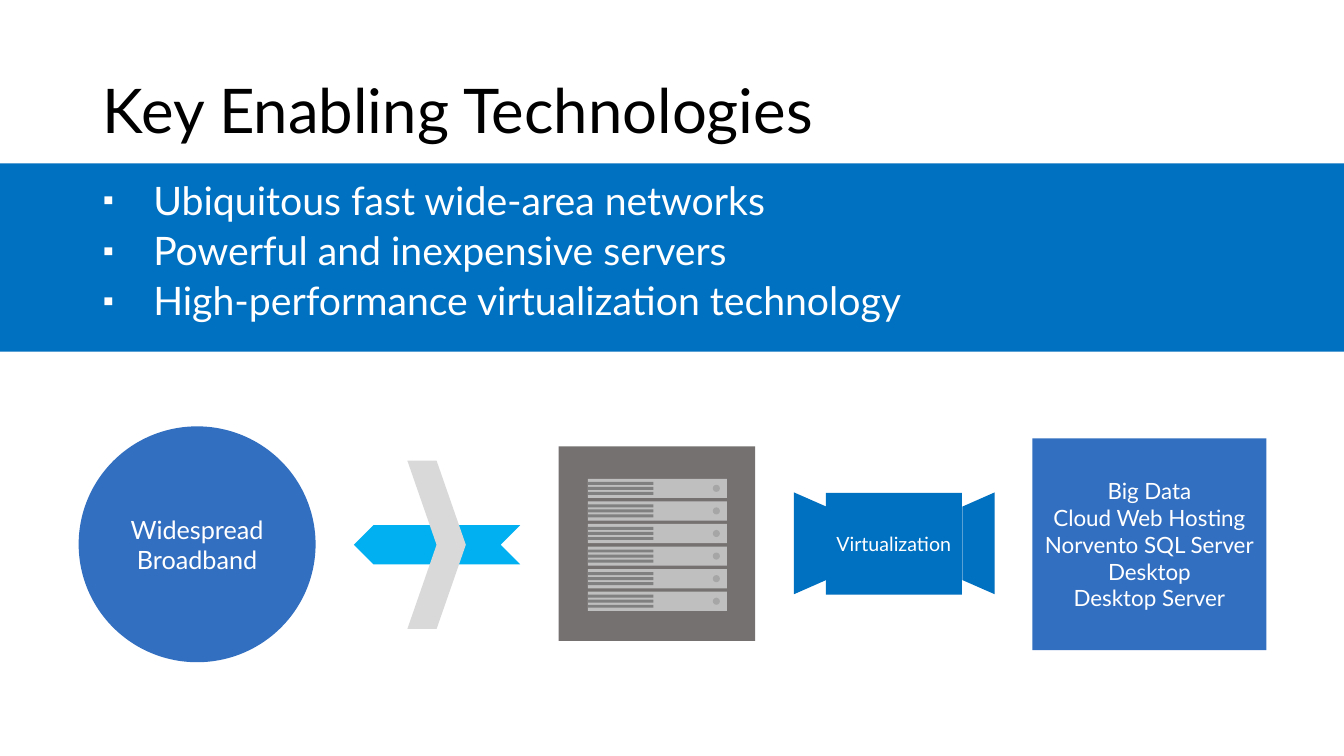
import pptx
import pptx.util
import pptx.dml.color
import pptx.enum.shapes
import pptx.enum.text
import lxml.etree

Inches = pptx.util.Inches
Pt = pptx.util.Pt
SHAPE = pptx.enum.shapes.MSO_SHAPE
ALIGN = pptx.enum.text.PP_ALIGN
MIDDLE = pptx.enum.text.MSO_ANCHOR.MIDDLE

FONT = "Lato"
HEADING = "Key Enabling Technologies"
ENABLERS = [
    "Ubiquitous fast wide-area networks",
    "Powerful and inexpensive servers",
    "High-performance virtualization technology",
]
WORKLOADS = [
    "Big Data",
    "Cloud Web Hosting",
    "Norvento SQL Server",
    "Desktop",
    "Desktop Server",
]
WHITE = "FFFFFF"
BLUE = "0070C0"
SOFT_BLUE = "336FC0"

SERVERS = 6
SERVER_PITCH = 0.224
STRIPES = 3
STRIPE_PITCH = 0.05
RACK_LEFT, RACK_TOP = 5.83, 4.75


def color(hex_code):
    return pptx.dml.color.RGBColor.from_string(hex_code)


def write(frame, lines, size, hex_code, align):
    frame.word_wrap = True
    frame.auto_size = pptx.enum.text.MSO_AUTO_SIZE.NONE
    frame.vertical_anchor = MIDDLE
    frame.text = "\n".join(lines)
    for paragraph in frame.paragraphs:
        paragraph.alignment = align
        paragraph.font.name = FONT
        paragraph.font.size = Pt(size)
        paragraph.font.color.rgb = color(hex_code)


def place(item, left, top, width, height):
    item.left, item.top = Inches(left), Inches(top)
    item.width, item.height = Inches(width), Inches(height)


def draw(kind, box, fill, lines=(), size=18, rotation=0):
    part = slide.shapes.add_shape(kind, *map(Inches, box))
    part.shadow.inherit = False
    part.fill.solid()
    part.fill.fore_color.rgb = color(fill)
    part.line.fill.background()
    part.rotation = rotation
    if lines:
        write(part.text_frame, lines, size, WHITE, ALIGN.CENTER)
    return part


def add_bullet(paragraph):
    properties = paragraph._p.get_or_add_pPr()
    properties.set("marL", str(Inches(0.5)))
    properties.set("indent", str(-Inches(0.5)))
    for tag, key, value in (("buSzPct", "val", "80000"), ("buChar", "char", "▪")):
        name = pptx.oxml.ns.qn("a:" + tag)
        lxml.etree.SubElement(properties, name).set(key, value)


presentation = pptx.Presentation()
presentation.slide_width = Inches(13.33)
presentation.slide_height = Inches(7.5)
slide = presentation.slides.add_slide(presentation.slide_layouts[1])

heading = slide.shapes.title
place(heading, 0.92, 0.4, 11.5, 1.45)
write(heading.text_frame, [HEADING], 44, "000000", ALIGN.LEFT)
heading.text_frame.paragraphs[0].line_spacing = 0.9

enablers = slide.placeholders[1]
place(enablers, 0.92, 1.57, 11.63, 1.87)
write(enablers.text_frame, ENABLERS, 28, WHITE, ALIGN.LEFT)
for enabler in enablers.text_frame.paragraphs:
    enabler.line_spacing = 0.9
    enabler.space_before = Pt(5.6)
    add_bullet(enabler)

band = draw(SHAPE.RECTANGLE, (0, 1.62, 13.33, 1.87), BLUE)
enablers.element.addprevious(band.element)

draw(SHAPE.CHEVRON, (3.51, 5.21, 1.65, 0.39), "00B0F0", rotation=180)
draw(SHAPE.CHEVRON, (4.04, 4.57, 0.58, 1.67), "D9D9D9")
draw(SHAPE.OVAL, (0.78, 4.23, 2.35, 2.34), SOFT_BLUE, ["Widespread Broadband"])

draw(SHAPE.RECTANGLE, (5.54, 4.43, 1.95, 1.93), "767171")
for server in range(SERVERS):
    top = RACK_TOP + server * SERVER_PITCH
    draw(SHAPE.RECTANGLE, (RACK_LEFT, top, 1.38, 0.19), "BFBFBF")
    draw(SHAPE.OVAL, (RACK_LEFT + 1.24, top + 0.06, 0.07, 0.07), "A6A6A6")
    for stripe in range(STRIPES):
        stripe_top = top + 0.03 + stripe * STRIPE_PITCH
        draw(SHAPE.RECTANGLE, (RACK_LEFT, stripe_top, 0.65, 0.03), "808080")

draw(SHAPE.RECTANGLE, (8.19, 4.89, 1.35, 1.01), BLUE, ["Virtualization"], 14)
for left, rotation in ((7.53, 90), (9.2, 270)):
    flare = draw(SHAPE.TRAPEZOID, (left, 5.23, 1.01, 0.32), BLUE, rotation=rotation)
    flare.adjustments[0] = 0.44

draw(SHAPE.RECTANGLE, (10.24, 4.35, 2.32, 2.1), SOFT_BLUE, WORKLOADS, 16)

presentation.save("out.pptx")
